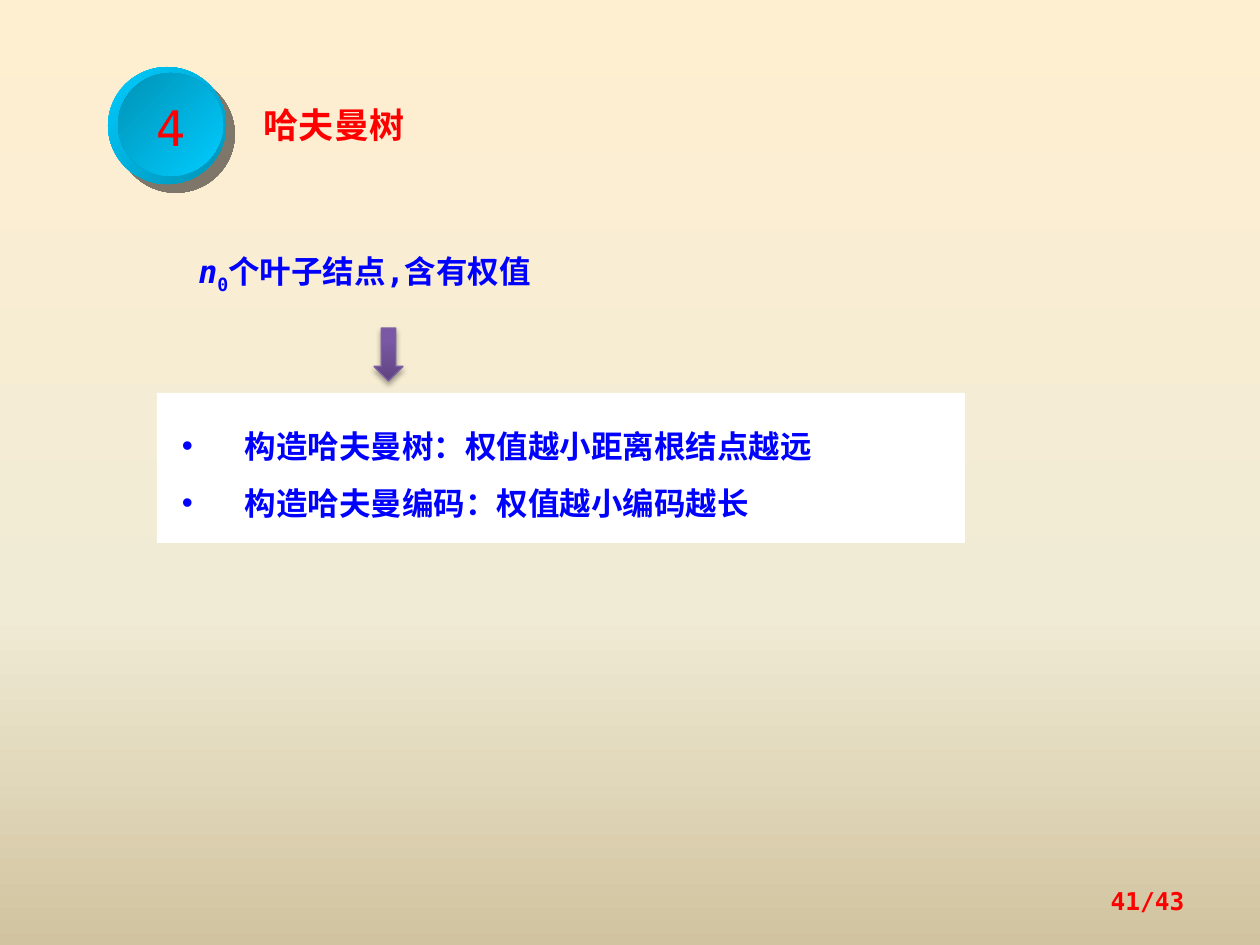
import pptx
import pptx.util
import pptx.dml.color
import pptx.enum.shapes
import pptx.enum.text
import pptx.oxml.ns
from lxml import etree

PX = 914400 // 126
MONO, SANS = "DejaVu Sans Mono", "Noto Sans CJK SC"
RED, BLUE, WHITE = "FF0000", "0000FF", "FFFFFF"
CYAN, TEAL = "00CCFF", "0092B6"
SHAPES = pptx.enum.shapes.MSO_SHAPE
ALIGN = pptx.enum.text.PP_ALIGN
MIDDLE = pptx.enum.text.MSO_ANCHOR.MIDDLE

BACKDROP = [(0, "FFEFD1"), (65, "F0EBD5"), (100, "D1C39F")]
ARROW_STOPS = [(0, "5F4480"), (80, "7B58A6"), (100, "7C57A8")]
SECTION_NUMBER = "4"
SECTION_TITLE = "哈夫曼树"
PREMISE = [("n", {"italic": True}), ("0", {"baseline": -25}), ("个叶子结点,含有权值".replace(",", ","), {})]
RULES = ["构造哈夫曼树：权值越小距离根结点越远", "构造哈夫曼编码：权值越小编码越长"]
PAGE = "41/43"


def color(code):
    """Turn a hex string into a colour."""
    return pptx.dml.color.RGBColor.from_string(code)


def child(parent, tag, **attributes):
    """Append a DrawingML element to parent."""
    node = etree.SubElement(parent, pptx.oxml.ns.qn("a:" + tag))
    for key, value in attributes.items():
        node.set(key, str(value))
    return node


def paint_gradient(fill, element, stops, angle):
    """Give a fill the listed stops, running clockwise at angle degrees."""
    fill.gradient()
    gradient = next(element.iter(pptx.oxml.ns.qn("a:gradFill")))
    for node in list(gradient):
        gradient.remove(node)
    stop_list = child(gradient, "gsLst")
    for percent, code in stops:
        child(child(stop_list, "gs", pos=percent * 1000), "srgbClr", val=code)
    child(gradient, "lin", ang=angle * 60000, scaled=0)


def cast_shadow(shape, code, opacity, blur, distance, angle):
    """Add an outer shadow; blur and distance are in points."""
    effects = shape._element.spPr.find(pptx.oxml.ns.qn("a:effectLst"))
    shadow = child(effects, "outerShdw", blurRad=int(blur * 12700),
                   dist=int(distance * 12700), dir=angle * 60000, algn="ctr", rotWithShape=0)
    child(child(shadow, "srgbClr", val=code), "alpha", val=opacity * 1000)


def add_shape(preset, box):
    """Add an unlined, shadowless preset shape at a pixel box."""
    shape = slide.shapes.add_shape(preset, *[n * PX for n in box])
    shape.shadow.inherit = False
    shape.line.fill.background()
    return shape


def add_text(box):
    """Add a wrapping text box and return its frame."""
    frame = slide.shapes.add_textbox(*[n * PX for n in box]).text_frame
    frame.word_wrap = True
    return frame


def style_run(run, size, code, font=MONO, bold=True, italic=False, baseline=0):
    """Set a run's font for Latin and Chinese text."""
    run.font.size = pptx.util.Pt(size)
    run.font.bold, run.font.italic = bold, italic
    run.font.color.rgb = color(code)
    run.font.name = font
    properties = run.font._element
    child(properties, "ea", typeface=SANS)
    if baseline:
        properties.set("baseline", str(baseline * 1000))


def add_disc(box, stops):
    """Add one gradient circle of the section badge."""
    disc = add_shape(SHAPES.OVAL, box)
    paint_gradient(disc.fill, disc._element, stops, 45)
    return disc


deck = pptx.Presentation()
deck.slide_width, deck.slide_height = 1260 * PX, 945 * PX
slide = deck.slides.add_slide(deck.slide_layouts[6])
paint_gradient(slide.background.fill, slide._element, BACKDROP, 90)

rim = add_disc((108, 67, 118, 117), [(0, CYAN), (100, TEAL)])
cast_shadow(rim, "020202", 50, 0, 7.1, 45)
badge = add_disc((118, 73, 105, 103), [(0, TEAL), (100, CYAN)]).text_frame
badge.word_wrap = False
badge.vertical_anchor = MIDDLE
badge.text = SECTION_NUMBER
badge.paragraphs[0].alignment = ALIGN.CENTER
badge.paragraphs[0].line_spacing = 1.1
style_run(badge.paragraphs[0].runs[0], 28, RED, bold=False)

title = add_text((236, 93, 374, 57))
title.margin_left = 28 * PX
title.text = SECTION_TITLE
title.paragraphs[0].line_spacing = 1.1
style_run(title.paragraphs[0].runs[0], 20, RED, SANS)

premise = add_text((186, 236, 452, 62)).paragraphs[0]
premise.line_spacing = pptx.util.Pt(30)
for words, look in PREMISE:
    run = premise.add_run()
    run.text = words
    style_run(run, 18, BLUE, **look)

panel = add_shape(SHAPES.RECTANGLE, (157, 393, 808, 150))
panel.fill.solid()
panel.fill.fore_color.rgb = color(WHITE)
rules = panel.text_frame
rules.word_wrap = True
rules.vertical_anchor = pptx.enum.text.MSO_ANCHOR.TOP
rules.margin_left, rules.margin_top, rules.margin_bottom = 25 * PX, 15 * PX, 20 * PX
rules.text = "\n".join(RULES)
for rule in rules.paragraphs:
    rule.alignment = ALIGN.LEFT
    rule.line_spacing = 1.5
    indent = rule._p.get_or_add_pPr()
    indent.set("marL", str(63 * PX))
    indent.set("indent", str(-63 * PX))
    child(indent, "buFont", typeface="Arial")
    child(indent, "buChar", char="•")
    style_run(rule.runs[0], 18, BLUE, SANS)

arrow = add_shape(SHAPES.DOWN_ARROW, (374, 328, 29, 53))
paint_gradient(arrow.fill, arrow._element, ARROW_STOPS, 270)
arrow.line.color.rgb = color("7D60A0")
arrow.line.width = pptx.util.Pt(0.75)
cast_shadow(arrow, "000000", 35, 3.1, 1.8, 90)

page = add_text((903, 876, 294, 50))
page.vertical_anchor = MIDDLE
page.text = PAGE
page.paragraphs[0].alignment = ALIGN.RIGHT
style_run(page.paragraphs[0].runs[0], 14, RED)

deck.save("out.pptx")
